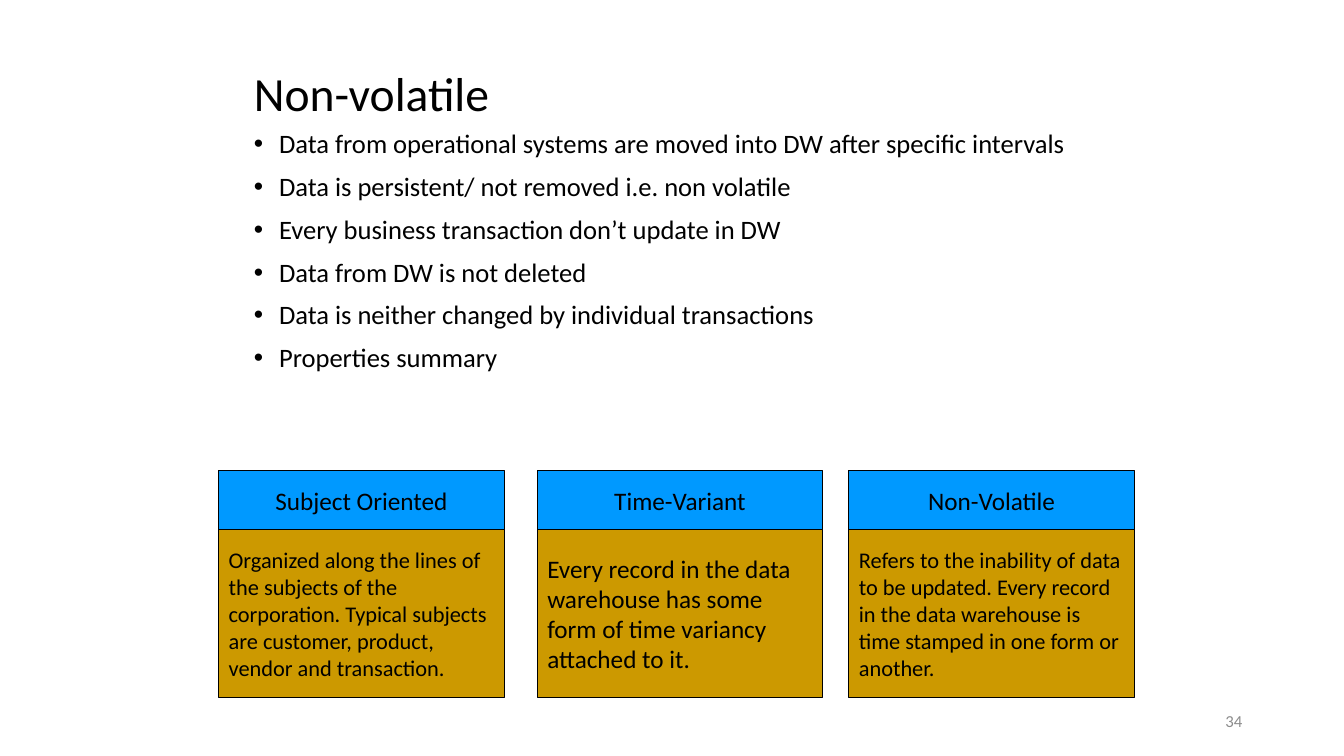
from lxml import etree
from pptx import Presentation
from pptx.dml.color import RGBColor
from pptx.enum.shapes import MSO_SHAPE
from pptx.enum.text import MSO_ANCHOR, PP_ALIGN
from pptx.oxml.ns import qn
from pptx.util import Inches, Pt

BLACK = RGBColor(0x00, 0x00, 0x00)
GREY = RGBColor(0x8C, 0x8C, 0x8C)
WHITE = RGBColor(0xFF, 0xFF, 0xFF)
BLUE = RGBColor(0x00, 0x99, 0xFF)
OCHRE = RGBColor(0xCC, 0x99, 0x00)
RECTANGLE = MSO_SHAPE.RECTANGLE
TOP, MIDDLE = MSO_ANCHOR.TOP, MSO_ANCHOR.MIDDLE
LEFT, CENTER, RIGHT = PP_ALIGN.LEFT, PP_ALIGN.CENTER, PP_ALIGN.RIGHT

BULLETS = [
    "Data from operational systems are moved into DW after specific intervals",
    "Data is persistent/ not removed i.e. non volatile",
    "Every business transaction don’t update in DW",
    "Data from DW is not deleted",
    "Data is neither changed by individual transactions",
    "Properties summary",
]

# Left edge, heading, description, description size
PROPERTIES = [
    (2.17, "Subject Oriented",
     "Organized along the lines of the subjects of the corporation. "
     "Typical subjects are customer, product, vendor and transaction.", 16),
    (5.33, "Time-Variant",
     "Every record in the data warehouse has some form of time variancy "
     "attached to it.", 18),
    (8.42, "Non-Volatile",
     "Refers to the inability of data to be updated. Every record in the "
     "data warehouse is time stamped in one form or another.", 16),
]
CARD_WIDTH = 2.83
HEADING_TOP, HEADING_HEIGHT = 4.67, 0.58
DESCRIPTION_TOP, DESCRIPTION_HEIGHT = 5.25, 1.67


class SlideBuilder:
    font = "Calibri"

    def __init__(self, slide):
        self.slide = slide
        slide.background.fill.solid()
        slide.background.fill.fore_color.rgb = WHITE

    def add_text(self, para, text, size, color=BLACK, align=LEFT):
        para.alignment = align
        span = para.add_run()
        span.text = text
        span.font.name = self.font
        span.font.size = Pt(size)
        span.font.color.rgb = color

    def text_box(self, left, top, width, height, anchor=MIDDLE):
        box = self.slide.shapes.add_textbox(
            Inches(left), Inches(top), Inches(width), Inches(height))
        frame = box.text_frame
        frame.word_wrap = True
        frame.vertical_anchor = anchor
        return frame

    def bullet_list(self, left, top, width, height, items, size):
        frame = self.text_box(left, top, width, height, TOP)
        for index, item in enumerate(items):
            para = frame.add_paragraph() if index else frame.paragraphs[0]
            para.line_spacing = 0.9
            para.space_before = Pt(10)
            self.add_text(para, item, size)
            properties = para._p.get_or_add_pPr()
            properties.set("marL", str(Inches(0.25)))
            properties.set("indent", str(-Inches(0.25)))
            bullet_font = etree.SubElement(properties, qn("a:buFont"))
            bullet_font.set("typeface", "Arial")
            etree.SubElement(properties, qn("a:buChar")).set("char", "•")

    def panel(self, left, top, width, height, fill, text, size,
              align=LEFT, wrap=True):
        box = self.slide.shapes.add_shape(
            RECTANGLE, Inches(left), Inches(top), Inches(width), Inches(height))
        box.shadow.inherit = False
        box.fill.solid()
        box.fill.fore_color.rgb = fill
        box.line.color.rgb = BLACK
        box.line.width = Pt(0.75)
        frame = box.text_frame
        frame.word_wrap = wrap
        frame.vertical_anchor = MIDDLE
        self.add_text(frame.paragraphs[0], text, size, align=align)


def main():
    deck = Presentation()
    deck.slide_width, deck.slide_height = Inches(13.33), Inches(7.5)
    page = SlideBuilder(deck.slides.add_slide(deck.slide_layouts[6]))

    # Slide number
    number = page.text_box(9.42, 6.95, 3, 0.4)
    page.add_text(number.paragraphs[0], "34", 12, GREY, RIGHT)

    # Title and bullets
    title = page.text_box(2.42, 0.33, 8.5, 1.25).paragraphs[0]
    title.line_spacing = 0.9
    page.add_text(title, "Non-volatile", 34)
    page.bullet_list(2.42, 1.25, 8.5, 5, BULLETS, 19)

    # Property cards
    for left, heading, description, size in PROPERTIES:
        page.panel(left, HEADING_TOP, CARD_WIDTH, HEADING_HEIGHT, BLUE,
                   heading, 18, CENTER, wrap=False)
        page.panel(left, DESCRIPTION_TOP, CARD_WIDTH, DESCRIPTION_HEIGHT, OCHRE,
                   description, size)

    deck.save("out.pptx")


if __name__ == "__main__":
    main()
